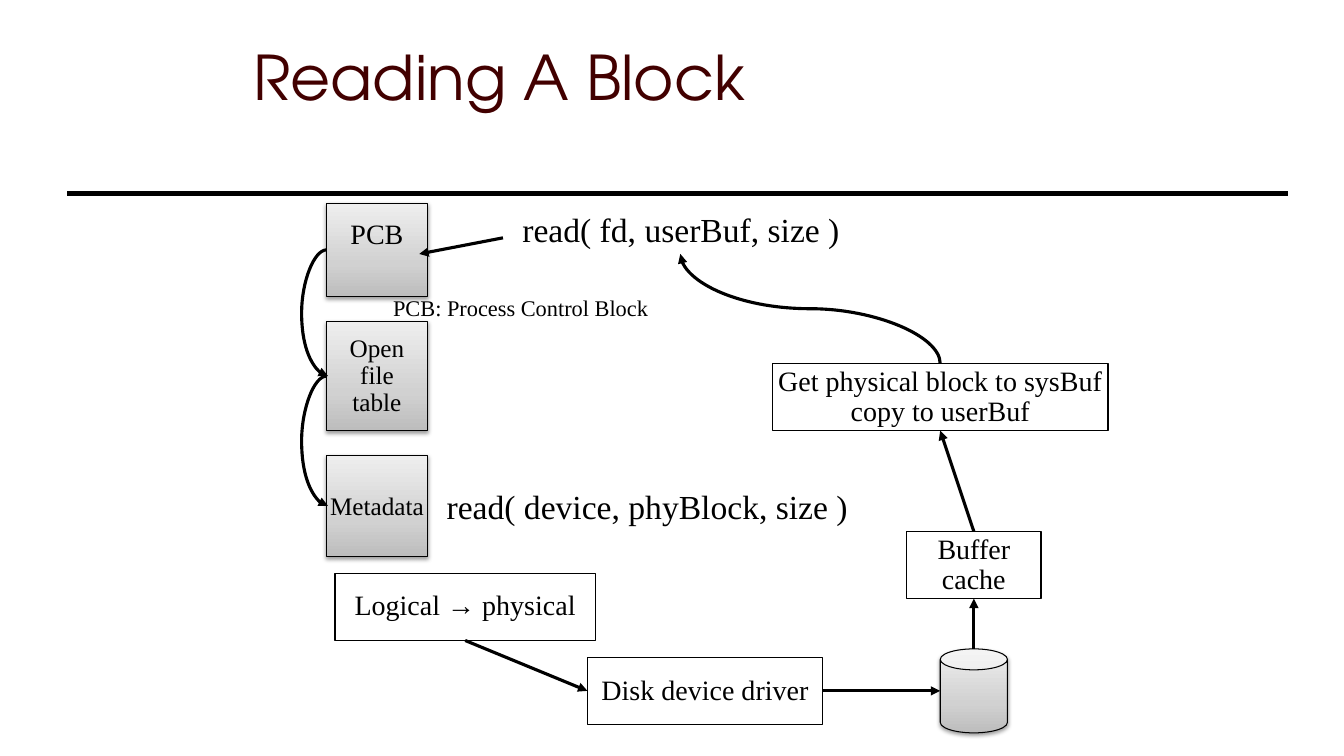
"""Build the slide that shows how a file system reads a block."""
from lxml.etree import SubElement
from pptx import Presentation
from pptx.dml.color import RGBColor
from pptx.enum.shapes import MSO_CONNECTOR, MSO_SHAPE
from pptx.enum.text import MSO_ANCHOR, PP_ALIGN
from pptx.oxml.ns import qn
from pptx.util import Pt

BLACK = RGBColor(0, 0, 0)
MAROON = RGBColor(0x42, 0, 0)
SERIF = "Times New Roman"
SANS = "TeX Gyre Adventor"
STOPS = [(0, "BDBDBD"), (35, "D1D1D1"), (100, "EEEEEE")]
BULGE = 18
BLANK_LINE = 23

TITLE = ("Reading A Block", (174, 24, 612, 60))
RULE = ((920, 138.3), (48, 138.3))

GREY = {
    "pcb": (["PCB"], 20, 1, (233.3, 145.4, 72, 66.2)),
    "open": (["Open", "file", "table"], 18, 0.9, (233.3, 229.7, 72, 77.9)),
    "meta": (["Metadata"], 18, 1, (233.3, 325.4, 72, 72)),
    "disk": ([], 18, 1, (671.6, 463.5, 48, 60)),
}
PLAIN = {
    "map": (["Logical → physical"], 20, 0.9, (239.3, 409.5, 186, 48)),
    "copy": (["Get physical block to sysBuf", "copy to userBuf"], 20, 0.9,
             (551.6, 259.6, 240, 48)),
    "driver": (["Disk device driver"], 20, 0.9, (419.6, 469.5, 168, 48)),
    "cache": (["Buffer", "cache"], 20, 0.9, (647.6, 379.6, 96, 48)),
}
LABELS = [
    ("read( fd, userBuf, size )", 24, (365.8, 145.4, 241.2, 36.3)),
    ("read( device, phyBlock, size )", 24, (311.8, 343.4, 301, 36.3)),
    ("PCB: Process Control Block", 16, (272.2, 206.6, 199.4, 26.6)),
]
ARROWS = [
    (("map", "bottom"), ("driver", "left")),
    (("driver", "right"), ("disk", "left")),
    (("disk", "top"), ("cache", "bottom")),
    (("cache", "top"), ("copy", "bottom")),
]
CALL = ((359.3, 169.9), (299.5, 181.4))
BENDS = [("pcb", "open"), ("open", "meta")]
USER = (486, 181.4)
SIDES = {"left": (0, 0.5), "right": (1, 0.5),
         "top": (0.5, 0), "bottom": (0.5, 1)}
BOXES = {**GREY, **PLAIN}


def spot(name, side):
    x, y, w, h = BOXES[name][3]
    fx, fy = SIDES[side]
    return x + w * fx, y + h * fy


def write(shape, lines, size, gap=1, font=SERIF, color=BLACK,
          align=PP_ALIGN.CENTER, anchor=MSO_ANCHOR.MIDDLE, wrap=False):
    frame = shape.text_frame
    frame.word_wrap = wrap
    frame.vertical_anchor = anchor
    frame.text = "\n".join(lines)
    for para in frame.paragraphs:
        para.alignment = align
        para.line_spacing = gap
        para.font.name = font
        para.font.size = Pt(size)
        para.font.color.rgb = color


def shade(shape):
    shape.fill.gradient()
    shape.fill.gradient_angle = 90
    props = shape.element.spPr
    stops = props.find(".//" + qn("a:gsLst"))
    for old in list(stops):
        stops.remove(old)
    for place, color in STOPS:
        stop = SubElement(stops, qn("a:gs"), pos=str(place * 1000))
        SubElement(stop, qn("a:srgbClr"), val=color)
    glow = SubElement(props.find(qn("a:effectLst")), qn("a:outerShdw"),
                      blurRad=str(Pt(3.1)), dist=str(Pt(1.6)),
                      dir="5400000", rotWithShape="0")
    tint = SubElement(glow, qn("a:srgbClr"), val="000000")
    SubElement(tint, qn("a:alpha"), val="38000")


def box(shapes, name):
    lines, size, gap, area = BOXES[name]
    kind = MSO_SHAPE.CAN if name == "disk" else MSO_SHAPE.RECTANGLE
    shape = shapes.add_shape(kind, *map(Pt, area))
    shape.shadow.inherit = False
    shape.line.color.rgb = BLACK
    if name in GREY:
        shape.line.width = Pt(0.75)
        shade(shape)
    else:
        shape.line.width = Pt(1)
        shape.fill.background()
    if name == "disk":
        shape.adjustments[0] = 0.312
    if lines:
        write(shape, lines, size, gap)
    if name == "pcb":
        shape.text_frame.margin_bottom = Pt(3.6 + BLANK_LINE)


def link(shapes, start, end, kind=MSO_CONNECTOR.STRAIGHT, width=2.25, tip=True):
    line = shapes.add_connector(kind, *map(Pt, (*start, *end)))
    line.line.width = Pt(width)
    line.line.color.rgb = BLACK
    props = line.element.spPr
    if tip:
        SubElement(props.find(qn("a:ln")), qn("a:tailEnd"), type="triangle")
    SubElement(props, qn("a:effectLst"))
    return props


def bend(shapes, start, end):
    props = link(shapes, start, (end[0] + 1, end[1]), MSO_CONNECTOR.CURVE)
    guides = props.find(".//" + qn("a:avLst"))
    SubElement(guides, qn("a:gd"), name="adj1", fmla=f"val {-BULGE * 100000}")


def rise(shapes, start, end):
    mx, my = (start[0] + end[0]) / 2, (start[1] + end[1]) / 2
    dx, dy = (start[0] - end[0]) / 2, (start[1] - end[1]) / 2
    props = link(shapes, (mx + dy, my - dx), (mx - dy, my + dx),
                 MSO_CONNECTOR.CURVE)
    props.find(qn("a:xfrm")).set("rot", "5400000")


def main():
    deck = Presentation()
    deck.slide_width, deck.slide_height = Pt(960), Pt(540)
    shapes = deck.slides.add_slide(deck.slide_layouts[6]).shapes
    link(shapes, *RULE, width=3, tip=False)
    text, area = TITLE
    write(shapes.add_textbox(*map(Pt, area)), [text], 44, font=SANS,
          color=MAROON, align=PP_ALIGN.LEFT, anchor=MSO_ANCHOR.BOTTOM, wrap=True)
    for name in BOXES:
        box(shapes, name)
    for text, size, area in LABELS:
        write(shapes.add_textbox(*map(Pt, area)), [text], size,
              anchor=MSO_ANCHOR.TOP)
    link(shapes, *CALL)
    for start, end in ARROWS:
        link(shapes, spot(*start), spot(*end))
    for start, end in BENDS:
        bend(shapes, spot(start, "left"), spot(end, "left"))
    rise(shapes, spot("copy", "top"), USER)
    deck.save("out.pptx")


if __name__ == "__main__":
    main()
